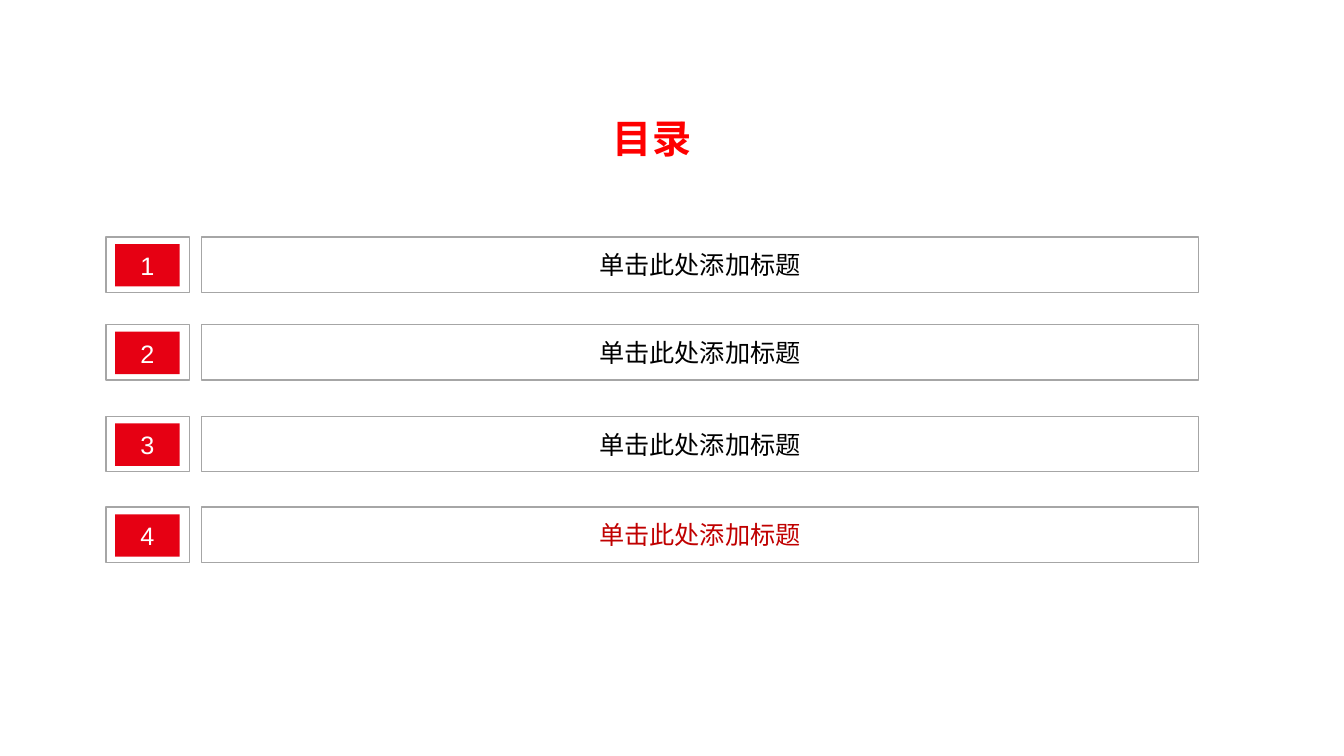
from pptx import Presentation
from pptx.dml.color import RGBColor
from pptx.enum import shapes, text
from pptx.util import Cm, Pt

TITLE = "目录"
RED, BADGE_RED, DARK_RED = "FF0000", "E60013", "C00000"
BLACK, WHITE, GREY = "000000", "FFFFFF", "A6A6A6"

# (top in cm, heading, heading colour)
ENTRIES = [
    (5.97, "单击此处添加标题", BLACK),
    (8.18, "单击此处添加标题", BLACK),
    (10.49, "单击此处添加标题", BLACK),
    (12.78, "单击此处添加标题", DARK_RED),
]

LEFT, WIDTH = 2.67, 27.53
ROW_HEIGHT = 1.4
FRAME_WIDTH = 2.11
BADGE_WIDTH, BADGE_HEIGHT = 1.63, 1.07
BADGE_DX, BADGE_DY = 0.23, 0.18
BAR_DX = 2.41


def rgb(color):
    return RGBColor.from_string(color)


def write(shape, words, size, color, bold=False):
    """Put one centred line of text in a shape."""
    frame = shape.text_frame
    frame.word_wrap = True
    frame.vertical_anchor = text.MSO_ANCHOR.MIDDLE
    line = frame.paragraphs[0]
    line.text = words
    line.alignment = text.PP_ALIGN.CENTER
    line.font.name = "Arial"
    line.font.size = Pt(size)
    line.font.bold = bold
    line.font.color.rgb = rgb(color)
    return line


def add_box(group, left, top, width, height, fill=None):
    """Add a rectangle: filled without a line, or outlined in grey."""
    box = group.shapes.add_shape(shapes.MSO_SHAPE.RECTANGLE,
                                 Cm(left), Cm(top), Cm(width), Cm(height))
    box.shadow.inherit = False
    if fill:
        box.fill.solid()
        box.fill.fore_color.rgb = rgb(fill)
        box.line.fill.background()
    else:
        box.fill.background()
        box.line.color.rgb = rgb(GREY)
        box.line.width = Pt(1)
    return box


def main():
    deck = Presentation()
    deck.slide_width, deck.slide_height = Cm(33.87), Cm(19.05)
    slide = deck.slides.add_slide(deck.slide_layouts.get_by_name("Title Only"))

    title = slide.shapes.title
    title.left, title.top = Cm(LEFT), Cm(2.72)
    title.width, title.height = Cm(WIDTH), Cm(1.68)
    write(title, TITLE, 28, RED, bold=True).line_spacing = 0.9

    for number, (top, heading, color) in enumerate(ENTRIES, start=1):
        entry = slide.shapes.add_group_shape()
        add_box(entry, LEFT, top, FRAME_WIDTH, ROW_HEIGHT)
        badge = add_box(entry, LEFT + BADGE_DX, top + BADGE_DY,
                        BADGE_WIDTH, BADGE_HEIGHT, BADGE_RED)
        write(badge, str(number), 18, WHITE)
        bar = add_box(entry, LEFT + BAR_DX, top, WIDTH - BAR_DX, ROW_HEIGHT)
        write(bar, heading, 18, color)

    deck.save("out.pptx")


if __name__ == "__main__":
    main()
